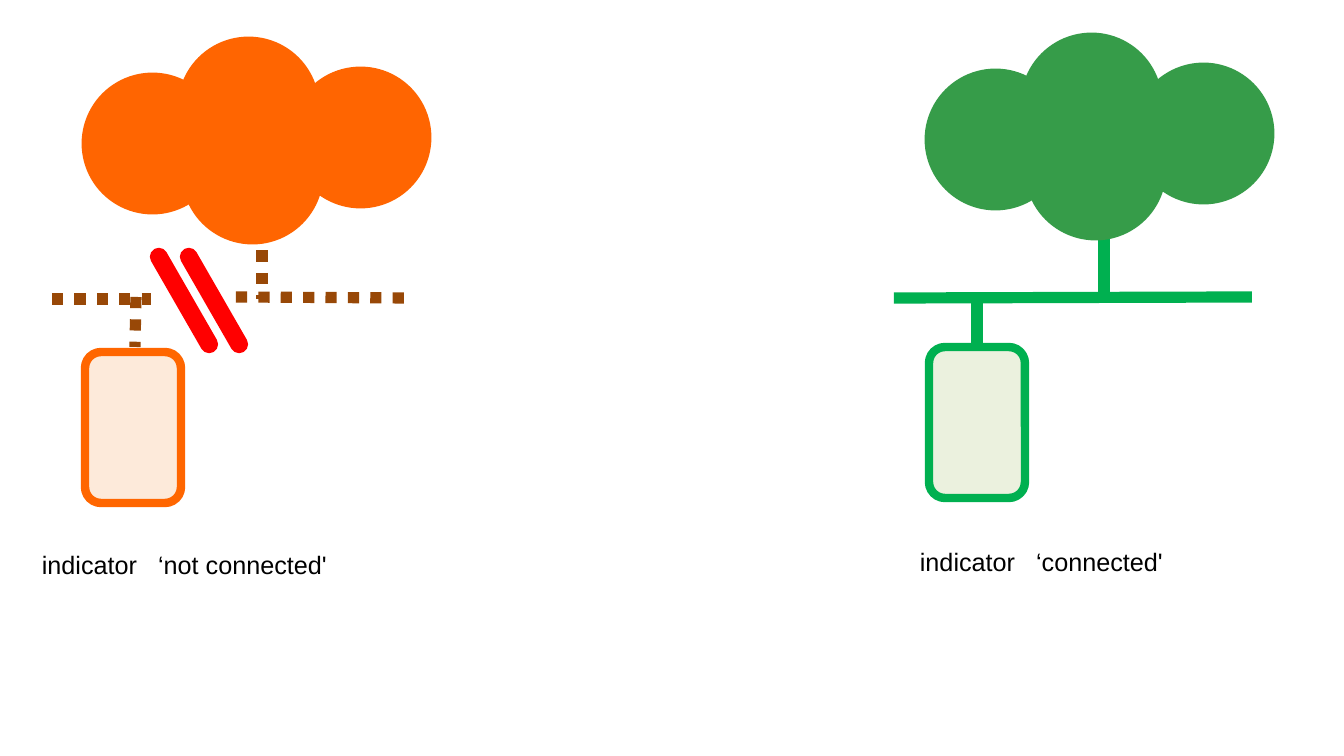
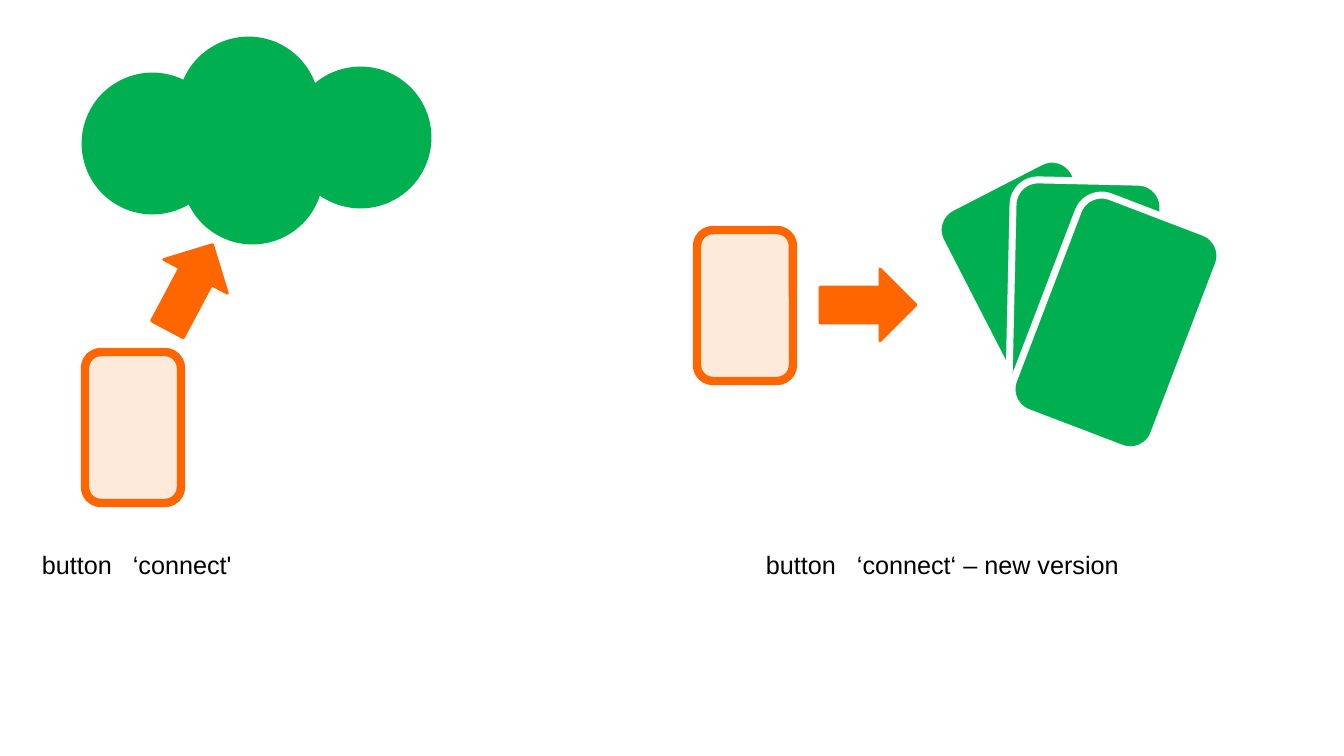
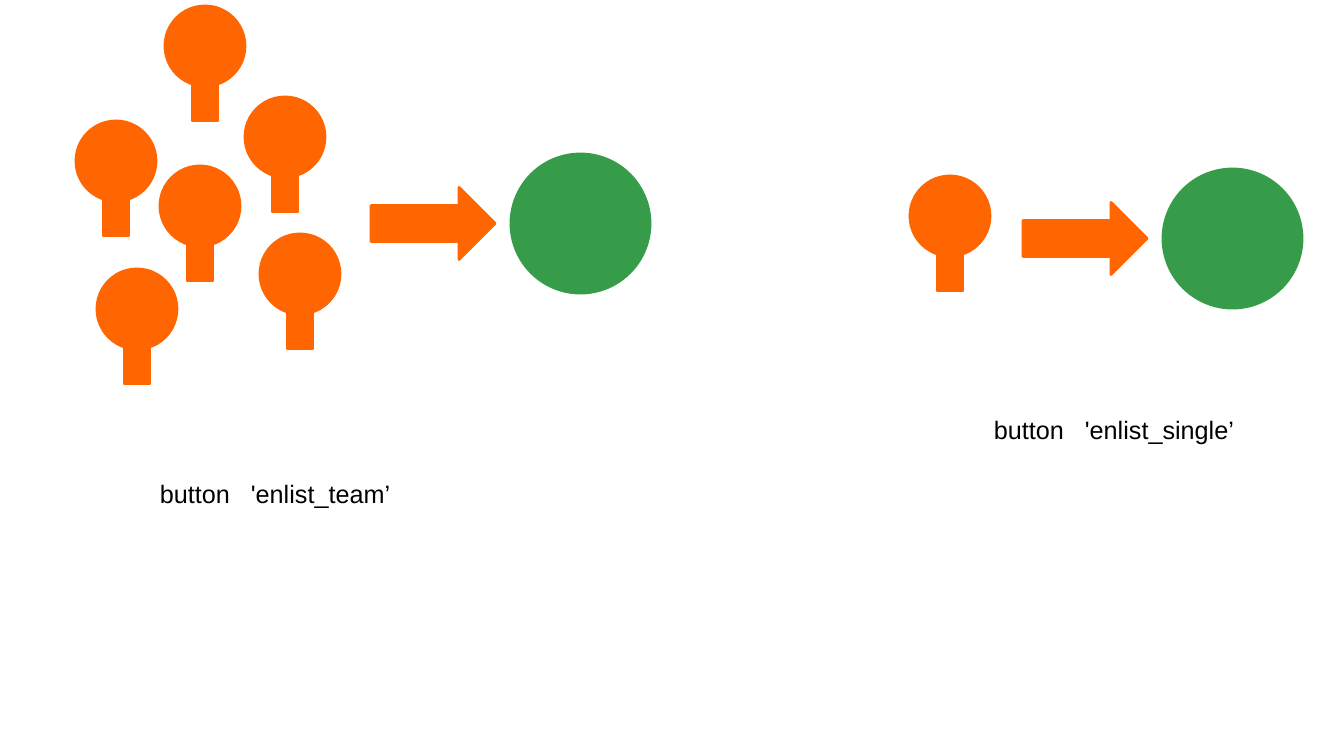
import pptx
import pptx.util
import pptx.dml.color
import pptx.enum.dml
import pptx.enum.shapes
import pptx.enum.text
import lxml.etree

COLOURS = {
    "orange": "FF6600",
    "bright_orange": "FF6501",
    "peach": "FDEADA",
    "green": "00B050",
    "leaf": "369C49",
    "pale_green": "EBF1DE",
    "red": "FF0000",
    "brown": "984807",
    "white": "FFFFFF",
    "black": "000000",
}
SHAPES = pptx.enum.shapes.MSO_SHAPE
EMU_PER_PIXEL = 914400 / 100.8
CIRCLE = 139
CLOUD_OFFSETS = ((0, 0), (100, 30), (208, -6), (96, -36))


def pixels(*lengths):
    return [pptx.util.Emu(round(length * EMU_PER_PIXEL)) for length in lengths]


def colour(name):
    return pptx.dml.color.RGBColor.from_string(COLOURS[name])


class Board:
    caption_font = {"name": "Arial", "size": pptx.util.Pt(18)}
    caption_frame = {
        "word_wrap": False,
        "auto_size": pptx.enum.text.MSO_AUTO_SIZE.SHAPE_TO_FIT_TEXT,
    }

    def __init__(self, presentation):
        self.presentation = presentation
        self.slide = None
        self.shapes = None

    def add_slide(self):
        layout = self.presentation.slide_layouts[6]
        self.slide = self.presentation.slides.add_slide(layout)

    def start_group(self):
        self.shapes = self.slide.shapes.add_group_shape().shapes

    def shape(self, kind, box, fill, line=None, width=2, rotation=0, rounding=None):
        shape = self.shapes.add_shape(kind, *pixels(*box))
        shape.shadow.inherit = False
        shape.fill.solid()
        shape.fill.fore_color.rgb = colour(fill)
        shape.line.color.rgb = colour(line or fill)
        shape.line.width = pptx.util.Pt(width)
        shape.rotation = rotation
        if rounding is not None:
            shape.adjustments[0] = rounding

    def line(self, ends, name, dash=None):
        straight = pptx.enum.shapes.MSO_CONNECTOR.STRAIGHT
        connector = self.shapes.add_connector(straight, *pixels(*ends))
        connector.line.color.rgb = colour(name)
        connector.line.width = pptx.util.Pt(8)
        if dash is not None:
            connector.line.dash_style = dash
        properties = connector._element.spPr
        lxml.etree.SubElement(properties, pptx.oxml.ns.qn("a:effectLst"))

    def circle(self, left, top, fill, size=CIRCLE):
        self.shape(SHAPES.OVAL, (left, top, size, size), fill)

    def cloud(self, left, top, fill):
        for across, down in CLOUD_OFFSETS:
            self.circle(left + across, top + down, fill)

    def device(self, left, top, fill="peach", line="orange"):
        self.shape(SHAPES.ROUNDED_RECTANGLE, (left, top, 96, 151), fill, line, 6)

    def arrow(self, left, top, width=96, fill="orange", rotation=0):
        self.shape(SHAPES.RIGHT_ARROW, (left, top, width, 72), fill, rotation=rotation)

    def person(self, left, top):
        self.circle(left, top, "bright_orange", 80)
        self.shape(SHAPES.RECTANGLE, (left + 27, top + 44, 26, 71), "bright_orange")

    def enlist(self, target_left, target_top, people):
        self.start_group()
        self.circle(target_left, target_top, "leaf")
        self.arrow(target_left - 140, target_top + 33.5, 124, "bright_orange")
        for left, top in people:
            self.person(left, top)

    def caption(self, left, top, width, kind, label):
        box = self.slide.shapes.add_textbox(*pixels(left, top, width, 40))
        for key, value in self.caption_frame.items():
            setattr(box.text_frame, key, value)
        paragraph = box.text_frame.paragraphs[0]
        for text, spacing in ((kind, 0), (" ", 1000), (label, 0)):
            run = paragraph.add_run()
            run.text = text
            run.font.color.rgb = colour("black")
            for key, value in self.caption_font.items():
                setattr(run.font, key, value)
            if spacing:
                run.font._element.set("spc", str(spacing))


def indicators(board):
    board.add_slide()
    board.start_group()
    for ends in ((977, 297, 977, 347), (1104, 227, 1104, 298), (894, 298, 1252, 297)):
        board.line(ends, "green")
    board.cloud(926, 70, "leaf")
    board.device(929, 347, "pale_green", "green")
    board.caption(32, 544, 307, "indicator", "‘not connected'")
    board.caption(910, 541, 265, "indicator", "‘connected'")
    board.start_group()
    board.device(85, 352)
    for left in (126, 156):
        board.shape(SHAPES.ROUNDED_RECTANGLE, (left, 293, 116, 15), "red",
                    rotation=240.1, rounding=0.5)
    for ends in ((136, 297, 135, 347), (262, 228, 262, 299),
                 (52, 299, 151, 299), (236, 297, 410, 298)):
        board.line(ends, "brown", pptx.enum.dml.MSO_LINE.ROUND_DOT)
    board.cloud(83, 74, "bright_orange")


def connect_buttons(board):
    board.add_slide()
    board.start_group()
    board.arrow(142, 251, rotation=298)
    board.cloud(83, 74, "green")
    board.device(85, 352)
    board.caption(32, 544, 212, "button", "‘connect'")
    board.start_group()
    board.arrow(820, 269)
    board.device(697, 230)
    for left, top, rotation in ((974, 172, 332.8), (1011, 181, 1.3), (1041, 207, 20.9)):
        board.shape(SHAPES.ROUNDED_RECTANGLE, (left, top, 150, 231), "green",
                    "white", 5, rotation)
    board.caption(756, 544, 377, "button", "‘connect‘ – new version")


def enlist_buttons(board):
    board.add_slide()
    team = ((165, 6), (245, 97), (160, 166), (76, 121), (260, 234), (97, 269))
    board.enlist(511, 154, team)
    board.caption(150, 473, 252, "button", "'enlist_team’")
    board.enlist(1163, 169, [(910, 176)])
    board.caption(984, 409, 263, "button", "'enlist_single’")


presentation = pptx.Presentation()
presentation.slide_width, presentation.slide_height = pixels(1344, 756)
board = Board(presentation)
for build in (indicators, connect_buttons, enlist_buttons):
    build(board)
presentation.save("out.pptx")
